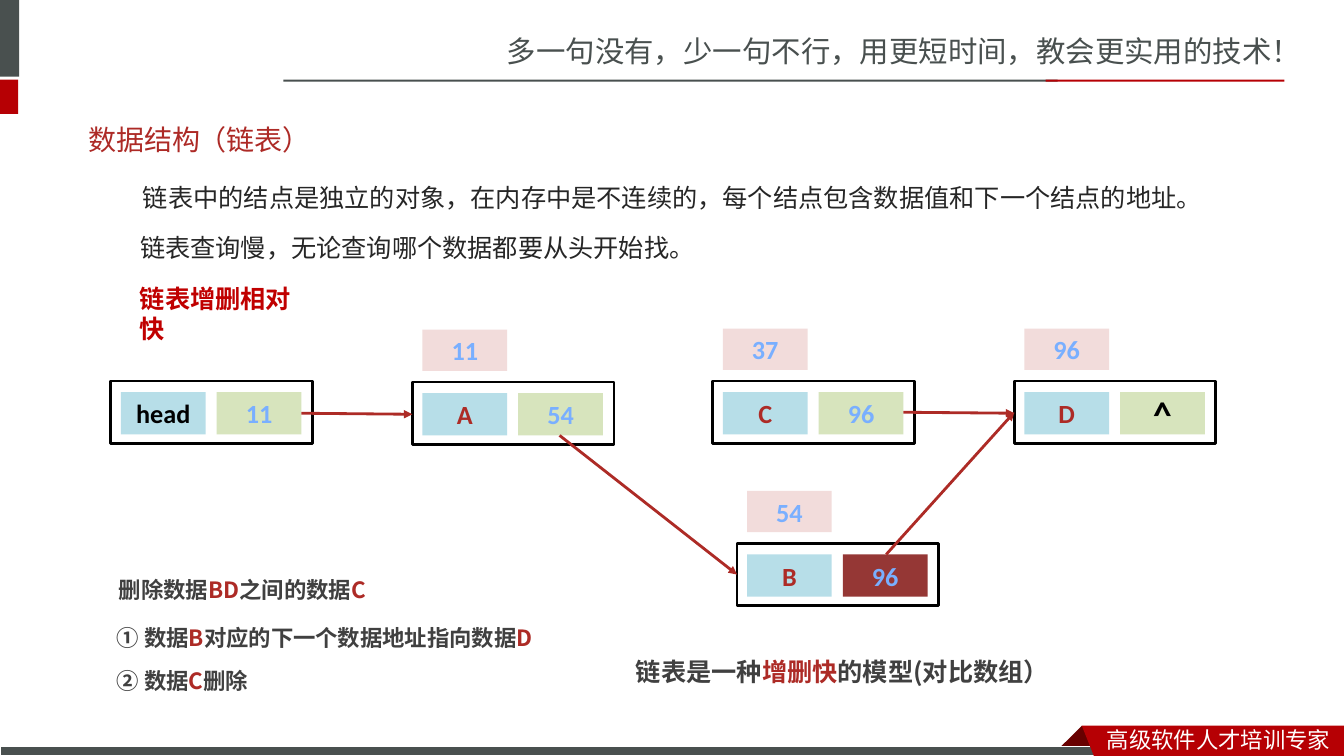
from dataclasses import dataclass

from lxml import etree
from pptx import Presentation
from pptx.dml.color import RGBColor
from pptx.enum.shapes import MSO_CONNECTOR, MSO_SHAPE
from pptx.enum.text import MSO_ANCHOR, PP_ALIGN
from pptx.oxml.ns import qn
from pptx.util import Inches, Pt

RECT = MSO_SHAPE.RECTANGLE
STRAIGHT = MSO_CONNECTOR.STRAIGHT
TOP, MIDDLE = MSO_ANCHOR.TOP, MSO_ANCHOR.MIDDLE
CENTER = PP_ALIGN.CENTER


@dataclass(frozen=True)
class Theme:
    """Colours, fonts and type sizes of the slide."""
    gray: str = "49504F"
    red: str = "B60004"
    dark_red: str = "680000"
    white: str = "FFFFFF"
    black: str = "000000"
    title: str = "AD2A26"
    accent: str = "AD2B26"
    strong: str = "C00000"
    body: str = "262626"
    note: str = "404040"
    address: str = "79AFFF"
    data_fill: str = "B7DEE8"
    next_fill: str = "D7E4BD"
    changed_fill: str = "953735"
    tag_fill: str = "F2DCDB"
    latin: str = "Calibri"
    brand_font: str = "Noto Sans CJK SC"
    body_font: str = "Noto Sans CJK JP"
    slogan_size: float = 21
    title_size: float = 20
    body_size: float = 18
    note_size: float = 16
    cell_size: float = 18.7
    null_size: float = 26.7


T = Theme()


def rgb(color):
    """Turn a hex string into a colour."""
    return RGBColor.from_string(color)


def style(p, size, color, font, bold=False):
    """Set the font of a paragraph for Latin and East Asian text."""
    p.font.size = Pt(size)
    p.font.bold = bold
    p.font.color.rgb = rgb(color)
    p.font.name = font
    def_rpr = p._p.pPr.find(qn("a:defRPr"))
    etree.SubElement(def_rpr, qn("a:ea")).set("typeface", font)


def add_text(s, box, runs, size, color, font=T.body_font, bold=False,
             anchor=TOP, spacing=None):
    """Add a one-paragraph text box; odd-numbered runs take the accent colour."""
    tf = s.shapes.add_textbox(*map(Inches, box)).text_frame
    tf.word_wrap = True
    tf.vertical_anchor = anchor
    p = tf.paragraphs[0]
    if spacing:
        p.line_spacing = spacing
    style(p, size, color, font, bold)
    for i, text in enumerate(runs):
        r = p.add_run()
        r.text = text
        if i % 2:
            r.font.color.rgb = rgb(T.accent)


def paint(sp, fill=None, line=None, width=0):
    """Set fill and outline of a shape, without a shadow."""
    sp.shadow.inherit = False
    if fill:
        sp.fill.solid()
        sp.fill.fore_color.rgb = rgb(fill)
    else:
        sp.fill.background()
    if line:
        sp.line.color.rgb = rgb(line)
        sp.line.width = Pt(width)
    else:
        sp.line.fill.background()


def add_rect(s, box, fill=None, line=None, width=0):
    """Add a rectangle."""
    sp = s.shapes.add_shape(RECT, *map(Inches, box))
    paint(sp, fill, line, width)
    return sp


def add_polygon(s, points, fill):
    """Add a closed filled outline."""
    (x, y), *rest = [(Inches(px), Inches(py)) for px, py in points]
    builder = s.shapes.build_freeform(x, y)
    builder.add_line_segments(rest, close=True)
    paint(builder.convert_to_shape(), fill)


def add_cell(s, x, y, text, fill, color, height=0.42, size=T.cell_size):
    """Add one filled cell with centred bold text."""
    tf = add_rect(s, (x, y, 0.84, height), fill).text_frame
    tf.vertical_anchor = MIDDLE
    p = tf.paragraphs[0]
    p.text = text
    p.alignment = CENTER
    style(p, size, color, T.latin, True)


def add_node(s, x, y, data, link, tag=None, data_color=T.accent,
             link_fill=T.next_fill, link_color=T.address, link_size=T.cell_size):
    """Add a list node: data, next address, frame and its own address tag."""
    add_cell(s, x + 0.1, y + 0.11, data, T.data_fill, data_color)
    add_cell(s, x + 1.05, y + 0.11, link, link_fill, link_color, size=link_size)
    add_rect(s, (x, y, 2, 0.62), line=T.black, width=2)
    if tag:
        add_cell(s, x + 0.1, y - 0.52, tag, T.tag_fill, T.address, 0.41)


def add_arrow(s, x1, y1, x2, y2):
    """Add a straight arrow."""
    c = s.shapes.add_connector(STRAIGHT, *map(Inches, (x1, y1, x2, y2)))
    c.line.color.rgb = rgb(T.accent)
    c.line.width = Pt(2)
    etree.SubElement(c.line._get_or_add_ln(), qn("a:tailEnd")).set("type", "triangle")
    etree.SubElement(c._element.spPr, qn("a:effectLst"))


def add_frame(s):
    """Add the header and footer decoration."""
    add_text(s, (4.93, 0.28, 8.4, 0.47),
             ["多一句没有，少一句不行，用更短时间，教会更实用的技术！"],
             T.slogan_size, T.gray, T.brand_font)
    add_rect(s, (0, 0, 0.19, 0.76), T.gray)
    add_rect(s, (0, 0.79, 0.18, 0.34), T.red)
    add_rect(s, (2.81, 0.79, 7.68, 0.02), T.gray)
    add_rect(s, (10.37, 0.79, 2.37, 0.02), T.red)
    add_polygon(s, [(10.73, 7.2), (10.95, 7.42), (10.94, 7.43),
                    (10.52, 7.43), (10.51, 7.42)], T.dark_red)
    add_rect(s, (0, 7.41, 10.99, 0.09), T.gray, T.white, 0.75)
    add_polygon(s, [(10.73, 7.2), (13.33, 7.2), (13.33, 7.5), (10.85, 7.5)], T.red)
    add_text(s, (10.88, 7.15, 2.45, 0.35), ["高级软件人才培训专家"],
             T.note_size, T.white, T.brand_font)


def add_wording(s):
    """Add the title, the statements and the deletion steps."""
    for x, w, text in [(0.78, 2.12, "数据结构"), (1.87, 1.4, "（链表）")]:
        add_text(s, (x, 1.1, w, 0.57), [text], T.title_size, T.title, T.latin,
                 anchor=MIDDLE)
    add_text(s, (1.32, 1.76, 10.66, 0.4),
             ["链表中的结点是独立的对象，在内存中是不连续的，每个结点包含数据值和下一个结点的地址。"],
             T.body_size, T.body)
    add_text(s, (1.29, 2.26, 5.68, 0.4), ["链表查询慢，无论查询哪个数据都要从头开始找。"],
             T.body_size, T.body)
    add_text(s, (1.29, 2.76, 1.94, 0.4), ["链表增删相对快"],
             T.body_size, T.strong, bold=True)
    notes = [
        ((1.08, 5.53, 5.58, 0.47), T.note_size, ["删除数据", "BD", "之间的数据", "C"]),
        ((1.06, 6.01, 5.16, 0.47), T.note_size,
         ["① 数据", "B", "对应的下一个数据地址指向数据", "D"]),
        ((1.06, 6.44, 5.16, 0.47), T.note_size, ["② 数据", "C", "删除"]),
        ((6.21, 6.31, 7.1, 0.51), T.body_size,
         ["链表是一种", "增删快", "的模型(对比数组）"]),
    ]
    for box, size, runs in notes:
        add_text(s, box, runs, size, T.note, bold=True, spacing=1.5)


def add_linked_list(s):
    """Add the nodes and the arrows between them."""
    add_node(s, 1.1, 3.78, "head", "11", data_color=T.black)
    add_node(s, 4.09, 3.79, "A", "54", "11")
    add_node(s, 7.07, 3.78, "C", "96", "37")
    add_node(s, 10.06, 3.78, "D", "^", "96", link_color=T.black,
             link_size=T.null_size)
    add_node(s, 7.31, 5.39, "B", "96", "54", link_fill=T.changed_fill)
    for ends in [(2.99, 4.1, 4.09, 4.11), (5.55, 4.32, 7.31, 5.7),
                 (8.79, 5.5, 10.06, 4.09), (8.96, 4.09, 10.06, 4.1)]:
        add_arrow(s, *ends)


def main():
    """Build the slide and save it."""
    prs = Presentation()
    prs.slide_width, prs.slide_height = Inches(13.33), Inches(7.5)
    s = prs.slides.add_slide(prs.slide_layouts[6])
    add_frame(s)
    add_wording(s)
    add_linked_list(s)
    prs.save("out.pptx")


if __name__ == "__main__":
    main()
